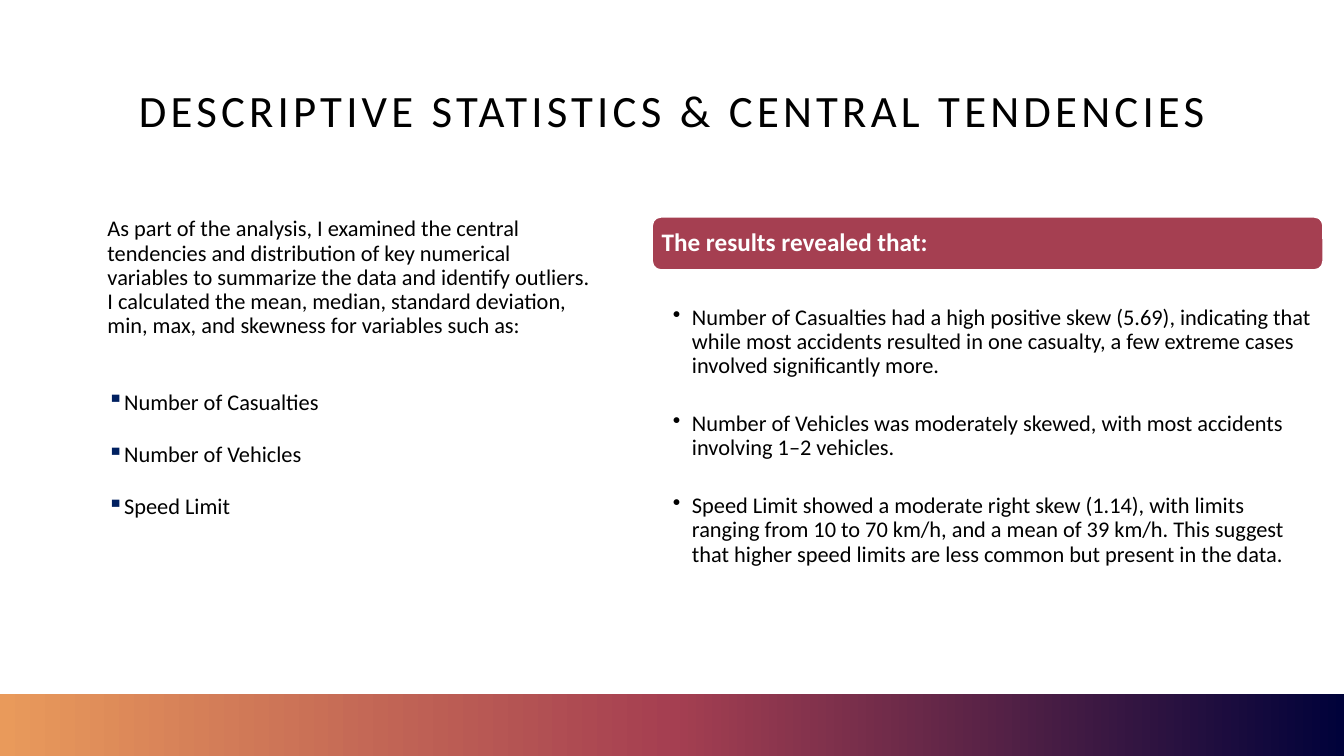
"""Build the slide on descriptive statistics and central tendencies."""
from copy import deepcopy
from dataclasses import dataclass

from lxml import etree
from pptx import Presentation
from pptx.dml.color import RGBColor
from pptx.enum import shapes, text
from pptx.oxml import ns
from pptx.util import Cm, Pt


@dataclass(frozen=True)
class Theme:
    font: str = "Calibri"
    ink: str = "000000"
    paper: str = "FFFFFF"
    accent: str = "A53F51"
    bullet: str = "002060"
    band: tuple = ("E99A5B", "A53F51", "00023A")
    title_size: int = 32
    header_size: int = 18
    body_size: int = 16


theme = Theme()


def style(paragraph, size, color):
    paragraph.line_spacing = 0.9
    for run in paragraph.runs:
        run.font.name = theme.font
        run.font.size = Pt(size)
        run.font.color.rgb = RGBColor.from_string(color)


def add_bullet(paragraph, char, color, margin, indent):
    properties = paragraph._p.get_or_add_pPr()
    properties.set("marL", str(margin))
    properties.set("indent", str(indent))
    bullet_color = etree.SubElement(properties, ns.qn("a:buClr"))
    etree.SubElement(bullet_color, ns.qn("a:srgbClr"), val=color)
    etree.SubElement(properties, ns.qn("a:buChar"), char=char)


presentation = Presentation()
presentation.slide_width = Cm(33.87)
presentation.slide_height = Cm(19.05)
slide = presentation.slides.add_slide(presentation.slide_layouts[6])

band = slide.shapes.add_shape(
    shapes.MSO_SHAPE.RECTANGLE, 0, Cm(17.5), Cm(33.87), Cm(1.55))
band.shadow.inherit = False
band.line.fill.background()
band.fill.gradient()
band.fill.gradient_angle = 0
first_stop = band._element.spPr.find(".//" + ns.qn("a:gs"))
first_stop.addnext(deepcopy(first_stop))
for index, (stop, color) in enumerate(zip(band.fill.gradient_stops, theme.band)):
    stop.position = index / 2
    stop.color.rgb = RGBColor.from_string(color)

title = slide.shapes.add_textbox(Cm(2.34), Cm(1.02), Cm(29.21), Cm(3.68)).text_frame
title.word_wrap = True
title.vertical_anchor = text.MSO_ANCHOR.MIDDLE
title.text = "DESCRIPTIVE STATISTICS & CENTRAL TENDENCIES"
heading = title.paragraphs[0]
heading.alignment = text.PP_ALIGN.CENTER
style(heading, theme.title_size, theme.ink)
heading.runs[0].font._element.set("spc", "300")

analysis = slide.shapes.add_textbox(Cm(2.46), Cm(5.36), Cm(12.73), Cm(9.58)).text_frame
analysis.word_wrap = True
analysis.text = (
    "As part of the analysis, I examined the central tendencies and distribution "
    "of key numerical variables to summarize the data and identify outliers. "
    "I calculated the mean, median, standard deviation, min, max, and skewness "
    "for variables such as:")
intro = analysis.paragraphs[0]
intro.space_after = Pt(27.5)
style(intro, theme.body_size, theme.ink)
for name in ("Number of Casualties", "Number of Vehicles", "Speed Limit"):
    variable = analysis.add_paragraph()
    variable.text = name
    add_bullet(variable, "▪", theme.bullet, 0, Cm(-0.64))
    variable.space_before = Pt(10)
    variable.space_after = Pt(10)
    style(variable, theme.body_size, theme.ink)

header = slide.shapes.add_shape(
    shapes.MSO_SHAPE.ROUNDED_RECTANGLE, Cm(16.43), Cm(5.46), Cm(16.92), Cm(1.35))
header.shadow.inherit = False
header.fill.solid()
header.fill.fore_color.rgb = RGBColor.from_string(theme.accent)
header.line.color.rgb = RGBColor.from_string(theme.paper)
header.line.width = Pt(1.5)
header.text_frame.margin_left = Cm(0.18)
header.text_frame.vertical_anchor = text.MSO_ANCHOR.MIDDLE
header.text_frame.text = "The results revealed that:"
header_line = header.text_frame.paragraphs[0]
header_line.alignment = text.PP_ALIGN.LEFT
style(header_line, theme.header_size, theme.paper)
header_line.runs[0].font.bold = True

results = slide.shapes.add_textbox(Cm(16.43), Cm(7.67), Cm(16.92), Cm(6.91)).text_frame
results.word_wrap = True
results.margin_left, results.margin_right = Cm(0.53), Cm(0.3)
results.margin_top = results.margin_bottom = Cm(0.05)
findings = (
    "Number of Casualties had a high positive skew (5.69), indicating that while "
    "most accidents resulted in one casualty, a few extreme cases involved "
    "significantly more.",
    "Number of Vehicles was moderately skewed, with most accidents involving "
    "1–2 vehicles.",
    "Speed Limit showed a moderate right skew (1.14), with limits ranging from "
    "10 to 70 km/h, and a mean of 39 km/h. This suggest that higher speed limits "
    "are less common but present in the data.",
)
results.text = "\n".join(findings)
for finding in results.paragraphs:
    add_bullet(finding, "•", theme.ink, Cm(0.48), Cm(-0.48))
    finding.space_after = Pt(24)
    style(finding, theme.body_size, theme.ink)

presentation.save("out.pptx")
